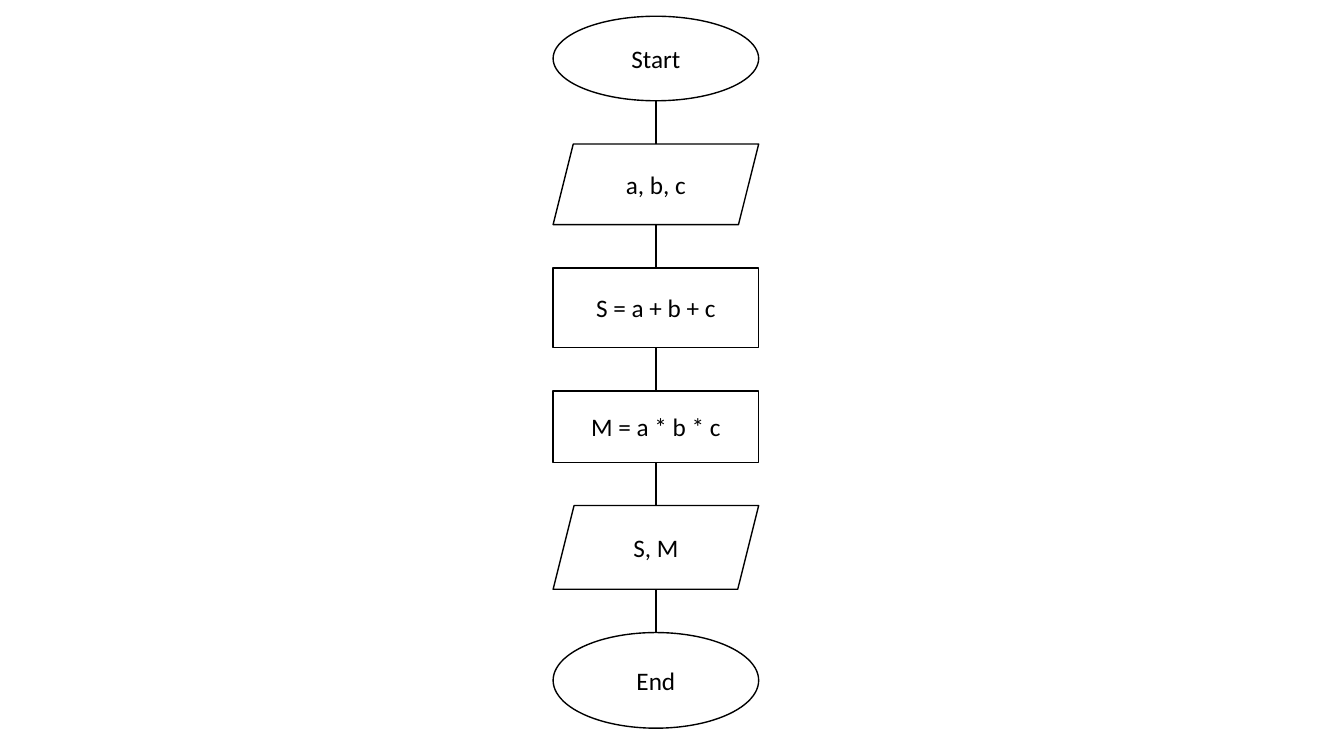
import pptx
import pptx.util
import pptx.dml.color
import pptx.enum.shapes
import pptx.enum.text
import pptx.oxml.ns
import lxml.etree

Cm, Pt = pptx.util.Cm, pptx.util.Pt
SHAPE = pptx.enum.shapes.MSO_SHAPE
COLORS = {"paper": "FFFFFF", "ink": "000000"}


class Flowchart:
    """Draws the steps and links of a vertical flowchart on one slide."""

    font = "Calibri"
    text_size = 18
    outline = 1
    link_width = 1.5
    left = 13.94
    step_width = 5.18

    def __init__(self, slide):
        self.shapes = slide.shapes

    def color(self, name):
        return pptx.dml.color.RGBColor.from_string(COLORS[name])

    def step(self, outline_kind, label, top, height):
        step = self.shapes.add_shape(
            outline_kind, Cm(self.left), Cm(top), Cm(self.step_width), Cm(height))
        step.shadow.inherit = False
        step.fill.solid()
        step.fill.fore_color.rgb = self.color("paper")
        step.line.color.rgb = self.color("ink")
        step.line.width = Pt(self.outline)
        if outline_kind == SHAPE.PARALLELOGRAM:
            step.adjustments[0] = 0.25
        frame = step.text_frame
        frame.word_wrap = True
        frame.vertical_anchor = pptx.enum.text.MSO_ANCHOR.MIDDLE
        paragraph = frame.paragraphs[0]
        paragraph.alignment = pptx.enum.text.PP_ALIGN.CENTER
        run = paragraph.add_run()
        run.text = label
        run.font.name = self.font
        run.font.size = Pt(self.text_size)
        run.font.color.rgb = self.color("ink")

    def link(self, top, bottom):
        center = Cm(self.left + self.step_width / 2)
        link = self.shapes.add_connector(
            pptx.enum.shapes.MSO_CONNECTOR.STRAIGHT,
            center, Cm(top), center, Cm(bottom))
        link.line.color.rgb = self.color("ink")
        link.line.width = Pt(self.link_width)
        properties = link._element.spPr
        lxml.etree.SubElement(properties, pptx.oxml.ns.qn("a:effectLst"))


def main():
    presentation = pptx.Presentation()
    presentation.slide_width = Cm(33.87)
    presentation.slide_height = Cm(19.05)
    chart = Flowchart(presentation.slides.add_slide(presentation.slide_layouts[6]))

    steps = [
        (SHAPE.OVAL, "Start", 2.13),
        (SHAPE.PARALLELOGRAM, "a, b, c", 2.03),
        (SHAPE.RECTANGLE, "S = a + b + c", 2.01),
        (SHAPE.RECTANGLE, "M = a * b * c", 1.8),
        (SHAPE.PARALLELOGRAM, "S, M", 2.11),
        (SHAPE.OVAL, "End", 2.41),
    ]
    first_top, gap = 0.41, 1.09
    top = first_top
    for outline_kind, label, height in steps:
        if top > first_top:
            chart.link(top - gap, top)
        chart.step(outline_kind, label, top, height)
        top += height + gap

    presentation.save("out.pptx")


if __name__ == "__main__":
    main()
